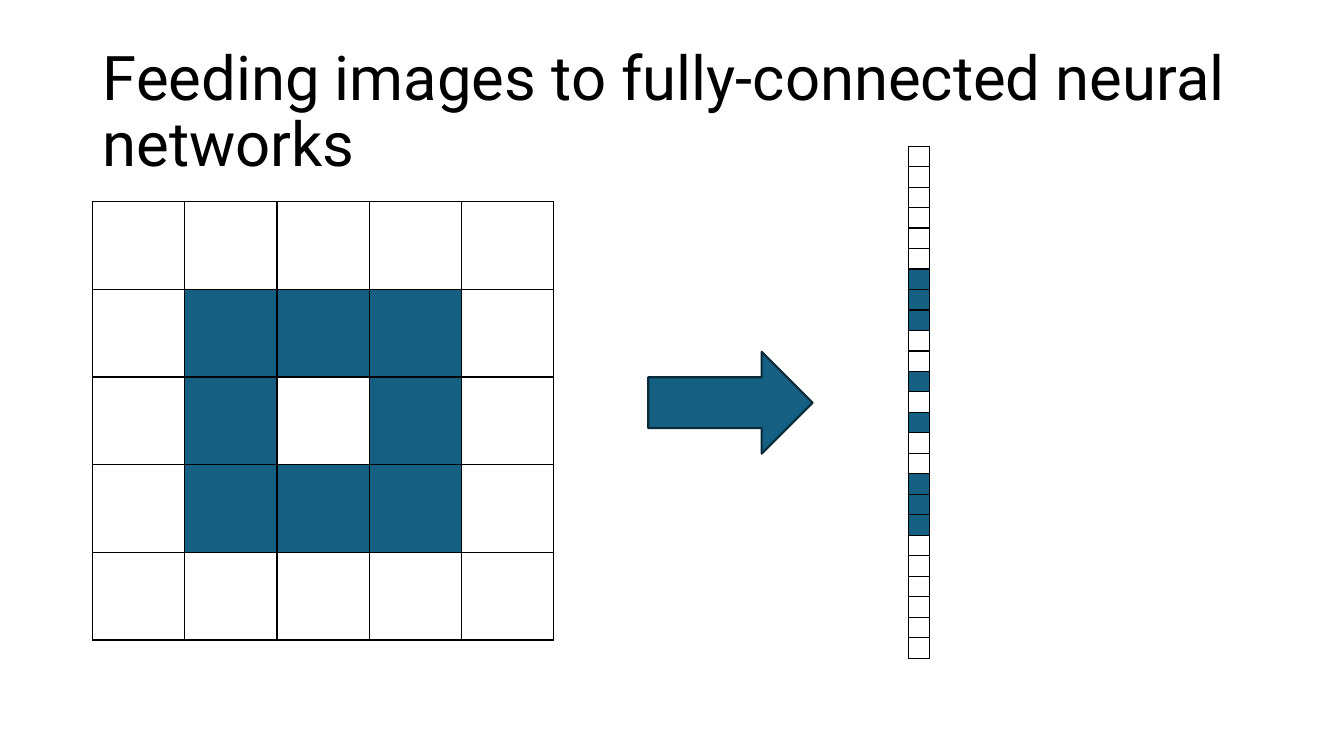
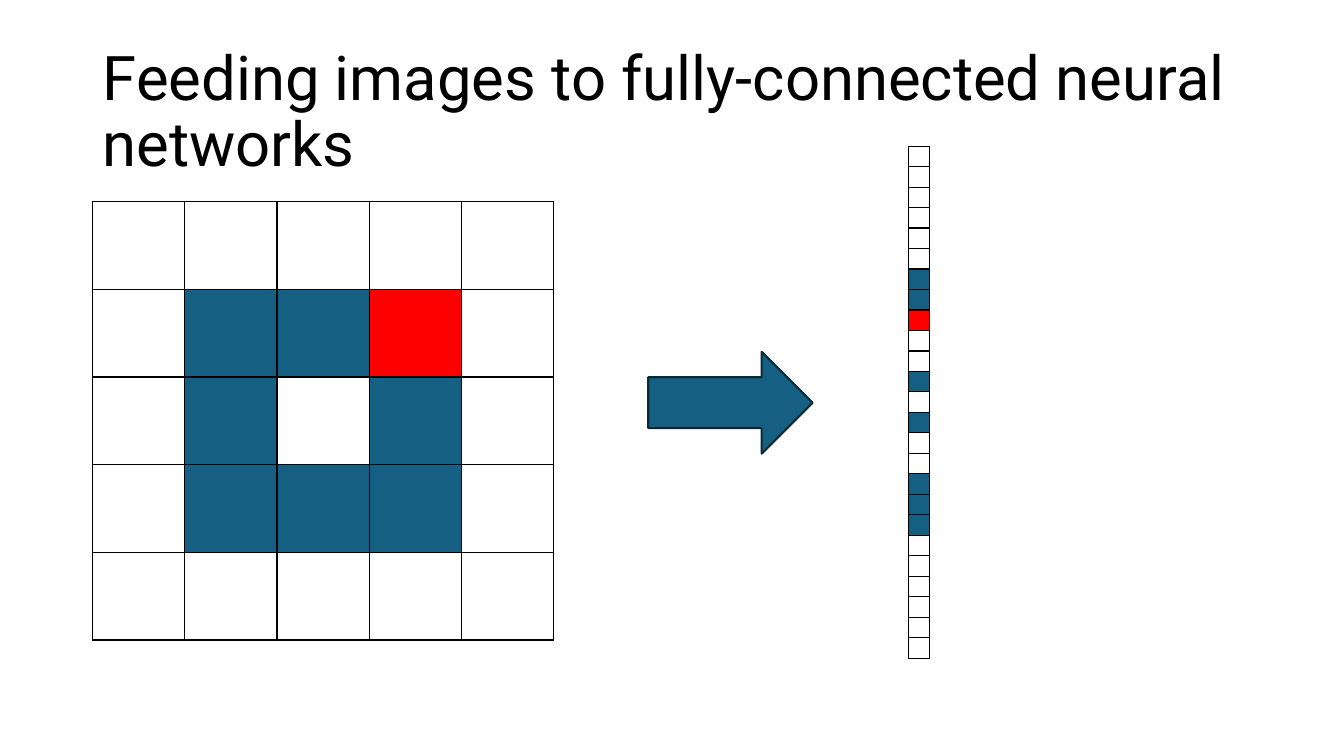
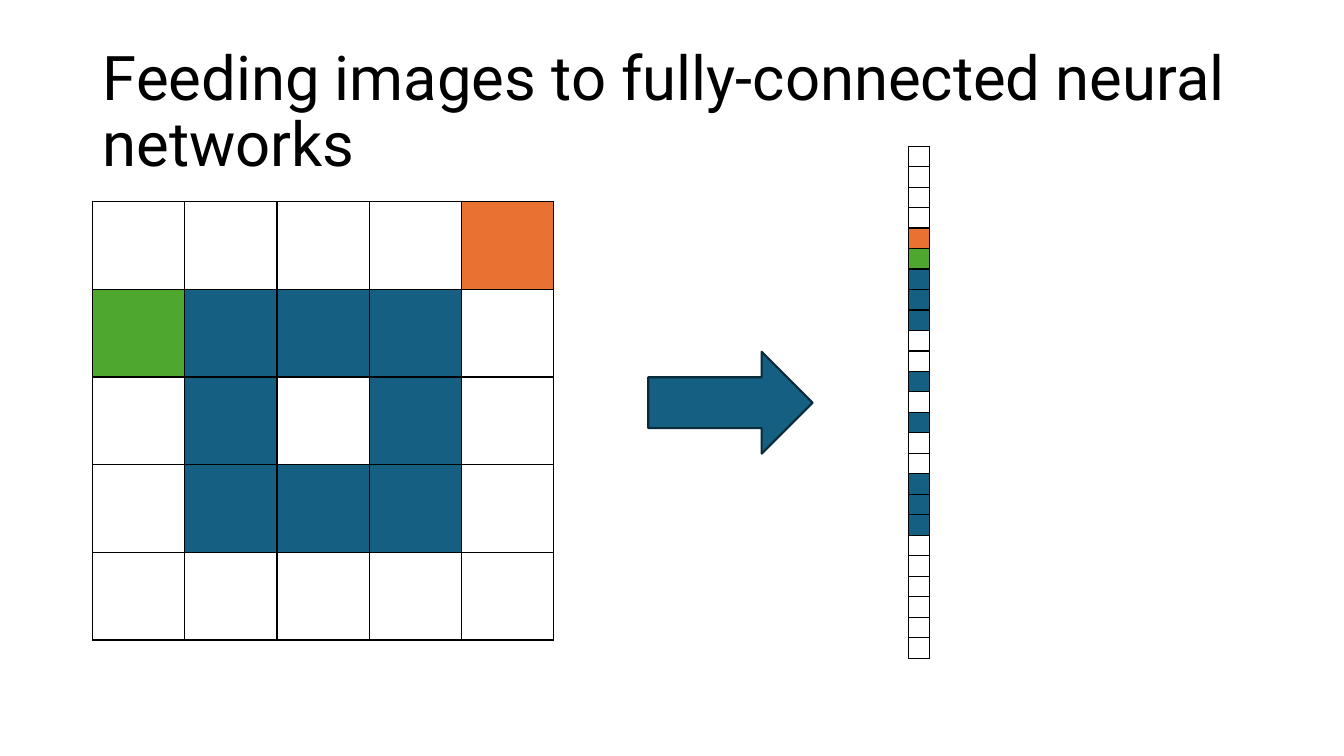
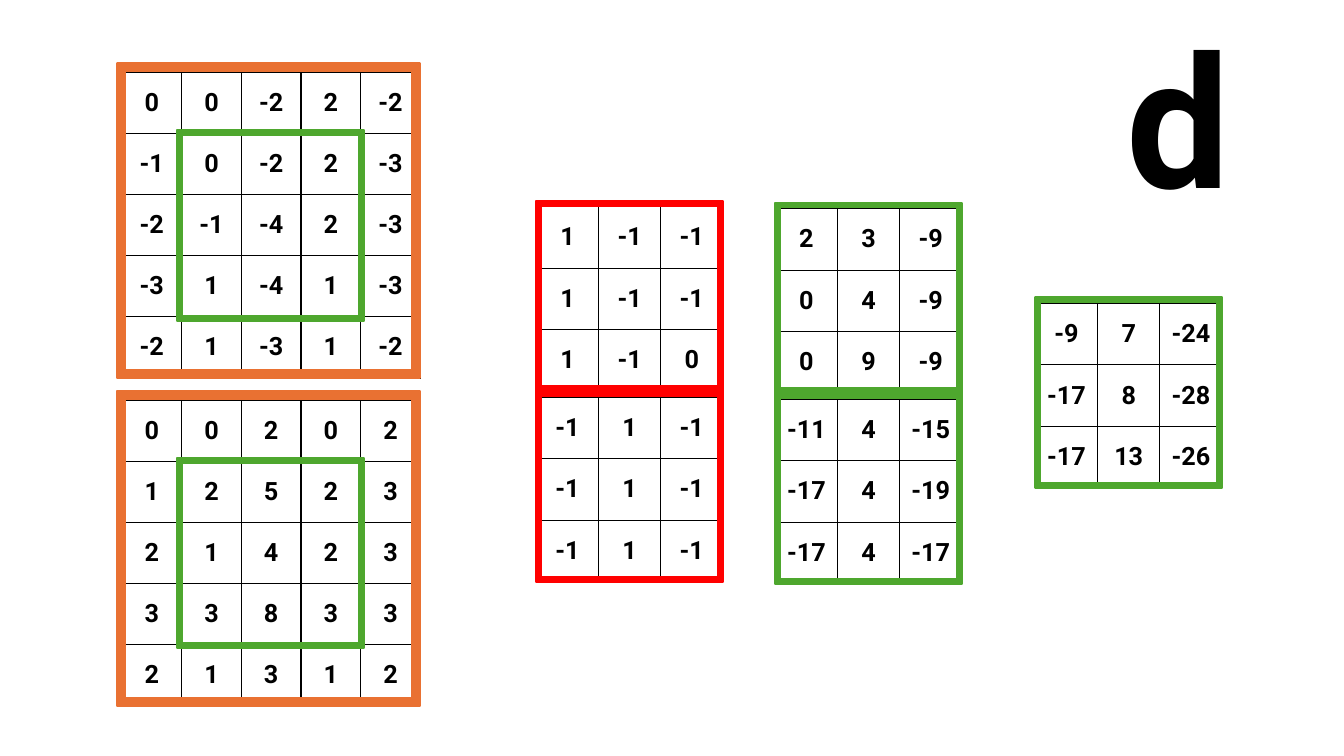
from lxml import etree
from pptx import Presentation
from pptx.dml import color
from pptx.enum import shapes, text
from pptx.oxml import ns
from pptx import util as u

PX = 9144
FONT = "Roboto"
BLACK, WHITE, BLUE, NAVY = "000000", "FFFFFF", "156082", "092A39"
RED, ORANGE, GREEN = "FF0000", "E97132", "4EA72E"
HUES = {".": WHITE, "b": BLUE, "r": RED, "o": ORANGE, "g": GREEN}
TITLE = "Feeding images to fully-connected neural networks"
RINGS = [
    "......bbb..b.b..bbb......",
    "......bbr..b.b..bbb......",
    "....ogbbb..b.b..bbb......",
]
INPUTS = [
    (63, "0 0 -2 2 -2 -1 0 -2 2 -3 -2 -1 -4 2 -3 -3 1 -4 1 -3 -2 1 -3 1 -2"),
    (388, "0 0 2 0 2 1 2 5 2 3 2 1 4 2 3 3 3 8 3 3 2 1 3 1 2"),
]
PANELS = [
    (532, 199, RED, "1 -1 -1 1 -1 -1 1 -1 0"),
    (532, 388, RED, "-1 1 -1 -1 1 -1 -1 1 -1"),
    (769, 201, GREEN, "2 3 -9 0 4 -9 0 9 -9"),
    (769, 390, GREEN, "-11 4 -15 -17 4 -19 -17 4 -17"),
    (1027, 295, GREEN, "-9 7 -24 -17 8 -28 -17 13 -26"),
]


def emu(*box):
    return [u.Emu(n * PX) for n in box]


def rgb(code):
    return color.RGBColor.from_string(code)


def style(para, size, bold=False):
    font = para.font
    font.name, font.size, font.bold = FONT, u.Pt(size), bold
    font.color.rgb = rgb(BLACK)


def label(slide, box, words, size, gap, bold=False, align=text.PP_ALIGN.LEFT):
    frame = slide.shapes.add_textbox(*emu(*box)).text_frame
    frame.word_wrap = True
    frame.vertical_anchor = text.MSO_ANCHOR.MIDDLE
    para = frame.paragraphs[0]
    para.text, para.alignment, para.line_spacing = words, align, gap
    style(para, size, bold)


def shape(slide, kind, box, fill, line):
    item = slide.shapes.add_shape(kind, *emu(*box))
    item.shadow.inherit = False
    item.fill.solid()
    item.fill.fore_color.rgb = rgb(fill)
    item.line.color.rgb = rgb(line)
    item.line.width = u.Pt(1.5)
    return item


def border(cell):
    props = cell._tc.get_or_add_tcPr()
    for spot, side in enumerate("LRTB"):
        line = etree.Element(ns.qn("a:ln" + side), w=str(u.Pt(1)))
        fill = etree.SubElement(line, ns.qn("a:solidFill"))
        etree.SubElement(fill, ns.qn("a:srgbClr"), val=BLACK)
        props.insert(spot, line)


def paint(cell, fill, words):
    cell.margin_left = cell.margin_right = 0
    cell.margin_top = cell.margin_bottom = 0
    cell.vertical_anchor = text.MSO_ANCHOR.MIDDLE
    cell.fill.solid()
    cell.fill.fore_color.rgb = rgb(fill)
    border(cell)
    para = cell.text_frame.paragraphs[0]
    if words:
        para.text, para.alignment = words, text.PP_ALIGN.CENTER
        style(para, 18, True)
    else:
        etree.SubElement(para._p, ns.qn("a:endParaRPr"), sz="100")


def grid(slide, box, cols, items):
    table = slide.shapes.add_table(len(items) // cols, cols, *emu(*box)).table
    table.first_row = table.horz_banding = False
    for spot, (fill, words) in enumerate(items):
        paint(table.cell(*divmod(spot, cols)), fill, words)


def matrix(slide, box, cols, words):
    grid(slide, box, cols, [(WHITE, word) for word in words.split()])


def frame(slide, box, hue):
    shape(slide, shapes.MSO_SHAPE.FRAME, box, hue, hue).adjustments[0] = 0.026


def flatten(slide, ring):
    cells = [(HUES[key], "") for key in ring]
    label(slide, (92, 40, 1150, 145), TITLE, 44, 0.9)
    grid(slide, (92, 200, 457, 435), 5, cells)
    grid(slide, (901, 145, 21, 508), 1, cells)
    shape(slide, shapes.MSO_SHAPE.RIGHT_ARROW, (643, 349, 163, 101), BLUE, NAVY)


def convolve(slide):
    for top, words in INPUTS:
        matrix(slide, (121, top + 9, 296, 303), 5, words)
        frame(slide, (176, top + 66, 185, 189), GREEN)
        frame(slide, (116, top, 301, 312), ORANGE)
    for left, top, hue, words in PANELS:
        matrix(slide, (left, top + 6, 185, 183), 3, words)
        frame(slide, (left, top, 185, 189), hue)
    label(slide, (1055, 45, 228, 192), "d", 131.5, 0.7, True, text.PP_ALIGN.CENTER)


def main():
    deck = Presentation()
    deck.slide_width, deck.slide_height = emu(1333, 750)
    blank = deck.slide_layouts[6]
    for ring in RINGS:
        flatten(deck.slides.add_slide(blank), ring)
    convolve(deck.slides.add_slide(blank))
    deck.save("out.pptx")


if __name__ == "__main__":
    main()
